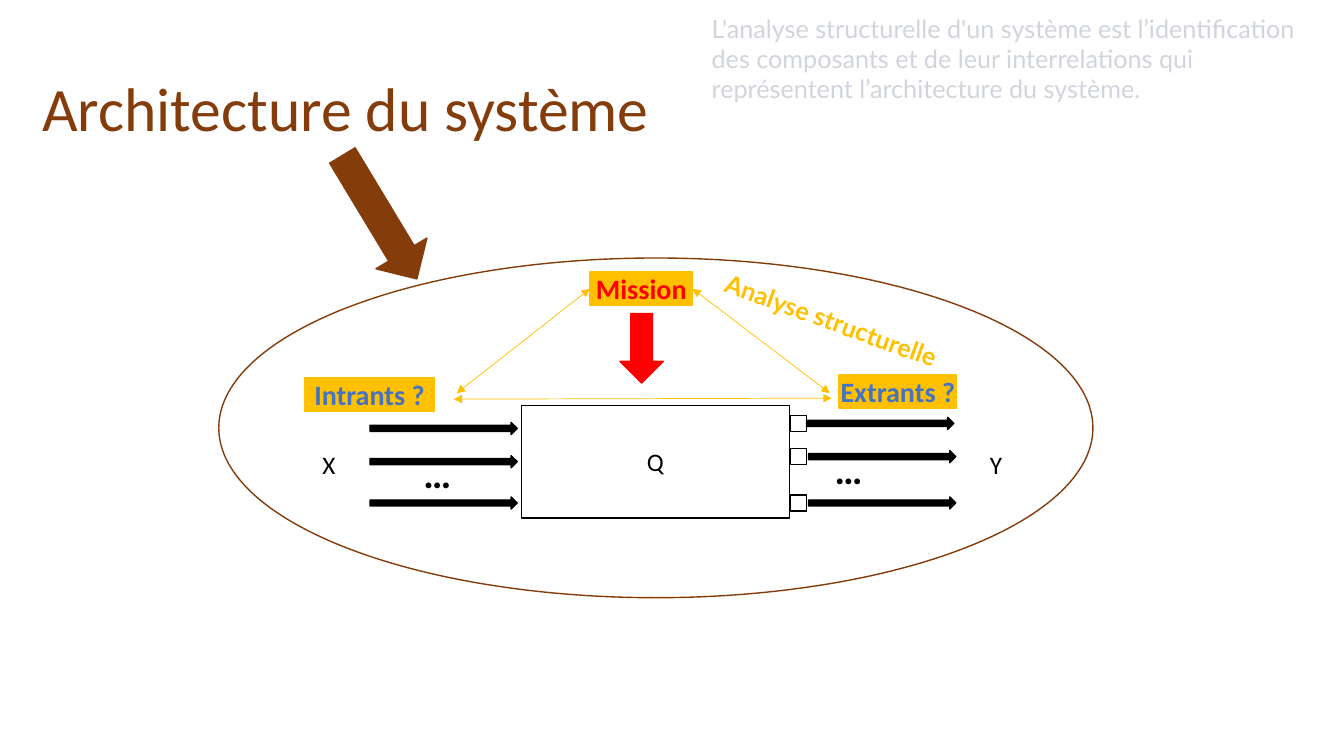
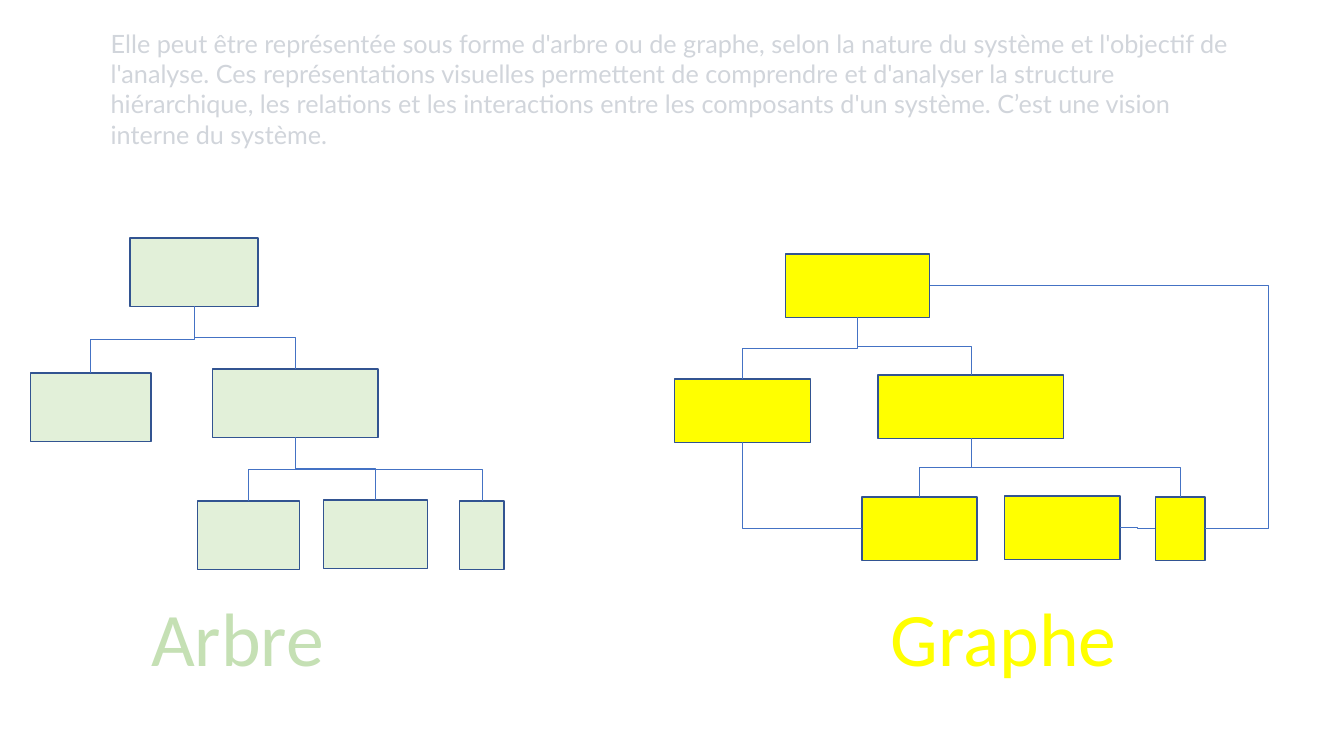
from lxml import etree
from pptx import Presentation
from pptx.dml.color import RGBColor
from pptx.enum import shapes, text
from pptx.oxml import ns
from pptx.util import Inches, Pt

WHITE = RGBColor(0xFF, 0xFF, 0xFF)
BLACK = RGBColor(0, 0, 0)
RED = RGBColor(0xFF, 0, 0)
BROWN = RGBColor(0x84, 0x3C, 0x0B)
AMBER = RGBColor(0xFF, 0xC0, 0x00)
BLUE = RGBColor(0x44, 0x72, 0xC4)
DARK_BLUE = RGBColor(0x32, 0x54, 0x91)
GRAY = RGBColor(0xD1, 0xD5, 0xDB)
PALE_GREEN = RGBColor(0xE2, 0xF0, 0xD9)
GREEN = RGBColor(0xC5, 0xE0, 0xB4)
YELLOW = RGBColor(0xFF, 0xFF, 0x00)

TOP, LEFT, BOTTOM, RIGHT = range(4)
PRESET = shapes.MSO_SHAPE

TITLE = "Architecture du système"
DEFINITION = (
    "L'analyse structurelle d'un système est l’identification des composants et de leur "
    "interrelations qui représentent l’architecture du système."
)
EXPLANATION = (
    "Elle peut être représentée sous forme d'arbre ou de graphe, selon la nature du système et "
    "l'objectif de l'analyse. Ces représentations visuelles permettent de comprendre et "
    "d'analyser la structure hiérarchique, les relations et les interactions entre les "
    "composants d'un système. C’est une vision interne du système."
)
BADGES = {
    "Intrants ?": ((3.02, 3.75, 1.29, 0.33), BLUE),
    "Extrants ?": ((8.32, 3.72, 1.17, 0.33), BLUE),
    "Mission": ((5.85, 2.7, 1.02, 0.33), RED),
}
VARIABLES = [("X", (3.1, 4.41, 0.33, 0.34)), ("Y", (9.72, 4.41, 0.33, 0.34))]
ELLIPSES = [(4.1, 4.41, 0.59, 0.57), (8.18, 4.37, 0.59, 0.57)]
INPUT_TOPS = [4.19, 4.52, 4.93]
OUTPUT_PORTS = [(4.12, 8.0, 4.14), (4.45, 8.02, 4.47), (4.91, 8.02, 4.93)]

SHARED_LINKS = [
    ("root", BOTTOM, "left", TOP),
    ("root", BOTTOM, "right", TOP),
    ("right", BOTTOM, "leaf 3", TOP),
    ("right", BOTTOM, "leaf 1", TOP),
]
DIAGRAMS = [
    {
        "caption": "Arbre",
        "caption_box": (1.39, 5.81, 1.93, 1.01),
        "caption_color": GREEN,
        "fill": PALE_GREEN,
        "height": 0.68,
        "nodes": {
            "left": (0.3, 3.7, 1.2),
            "right": (2.11, 3.66, 1.64),
            "root": (1.29, 2.36, 1.27),
            "leaf 1": (1.96, 4.97, 1.01),
            "leaf 2": (3.21, 4.96, 1.03),
            "leaf 3": (4.56, 4.97, 0.44),
        },
        "links": [("right", BOTTOM, "leaf 2", TOP)],
    },
    {
        "caption": "Graphe",
        "caption_box": (8.72, 5.81, 2.47, 1.01),
        "caption_color": YELLOW,
        "fill": YELLOW,
        "height": 0.63,
        "nodes": {
            "left": (6.69, 3.76, 1.35),
            "right": (8.71, 3.72, 1.84),
            "root": (7.79, 2.52, 1.43),
            "leaf 1": (8.55, 4.93, 1.14),
            "leaf 2": (9.96, 4.92, 1.15),
            "leaf 3": (11.46, 4.93, 0.49),
        },
        "links": [
            ("leaf 1", LEFT, "left", BOTTOM),
            ("leaf 3", RIGHT, "root", RIGHT),
            ("leaf 2", RIGHT, "leaf 3", LEFT),
        ],
    },
]


def inches(box):
    return [Inches(value) for value in box]


def write(frame, words, size=18, color=BLACK, font="Calibri", bold=False, align=text.PP_ALIGN.LEFT):
    paragraph = frame.paragraphs[0]
    paragraph.alignment = align
    run = paragraph.add_run()
    run.text = words
    run.font.size = Pt(size)
    run.font.name = font
    run.font.bold = bold
    run.font.color.rgb = color


def add_text(slide, words, box, wrap=False, rotation=0, **style):
    shape = slide.shapes.add_textbox(*inches(box))
    shape.rotation = rotation
    shape.text_frame.word_wrap = wrap
    shape.text_frame.auto_size = text.MSO_AUTO_SIZE.SHAPE_TO_FIT_TEXT
    write(shape.text_frame, words, **style)


def add_shape(slide, preset, box, line, fill=None, words=None, **style):
    shape = slide.shapes.add_shape(preset, *inches(box))
    shape.shadow.inherit = False
    shape.line.color.rgb = line
    shape.line.width = Pt(1)
    if fill is None:
        shape.fill.background()
    else:
        shape.fill.solid()
        shape.fill.fore_color.rgb = fill
    if words:
        frame = shape.text_frame
        frame.margin_left = frame.margin_right = frame.margin_top = frame.margin_bottom = 0
        frame.word_wrap = False
        frame.vertical_anchor = text.MSO_ANCHOR.MIDDLE
        write(frame, words, align=text.PP_ALIGN.CENTER, **style)
    return shape


def add_line(slide, kind, color, start=(0, 0), end=(0, 0), arrows=False):
    connector = slide.shapes.add_connector(kind, *inches(start), *inches(end))
    connector.line.color.rgb = color
    connector.line.width = Pt(0.5)
    properties = connector._element.spPr
    if arrows:
        outline = properties.find(ns.qn("a:ln"))
        for tag in ("a:headEnd", "a:tailEnd"):
            etree.SubElement(outline, ns.qn(tag), type="triangle")
    etree.SubElement(properties, ns.qn("a:effectLst"))
    return connector


def turn_vertical(connector):
    x1, y1, x2, y2 = connector.begin_x, connector.begin_y, connector.end_x, connector.end_y
    rightward = x2 > x1
    connector.width, connector.height = y2 - y1, abs(x2 - x1)
    connector.left = (x1 + x2 - connector.width) // 2
    connector.top = (y1 + y2 - connector.height) // 2
    transform = connector._element.spPr.find(ns.qn("a:xfrm"))
    transform.set("rot", str((270 if rightward else 90) * 60000))
    transform.set("flipH", "1" if rightward else "0")


def link(slide, start, start_side, end, end_side):
    connector = add_line(slide, shapes.MSO_CONNECTOR.ELBOW, BLUE)
    connector.begin_connect(start, start_side)
    connector.end_connect(end, end_side)
    geometry = connector._element.spPr.find(ns.qn("a:prstGeom"))
    if (start_side, end_side) == (BOTTOM, TOP):
        turn_vertical(connector)
    elif (start_side, end_side) == (LEFT, BOTTOM):
        geometry.set("prst", "bentConnector2")
    elif start_side == end_side == RIGHT:
        adjustments = geometry.find(ns.qn("a:avLst"))
        etree.SubElement(adjustments, ns.qn("a:gd"), name="adj1", fmla="val -23100")


def build_architecture(slide):
    badges = {
        words: add_shape(slide, PRESET.RECTANGLE, box, AMBER, AMBER, words,
                         size=20, color=color, bold=True)
        for words, (box, color) in BADGES.items()
    }
    add_shape(slide, PRESET.OVAL, (2.17, 2.56, 8.67, 3.37), BROWN)
    add_shape(slide, PRESET.RECTANGLE, (5.17, 4.02, 2.66, 1.12), BLACK, words="Q")
    flows = [(3.67, top) for top in INPUT_TOPS]
    for port_top, arrow_left, arrow_top in OUTPUT_PORTS:
        add_shape(slide, PRESET.RECTANGLE, (7.84, port_top, 0.16, 0.16), BLACK)
        flows.append((arrow_left, arrow_top))
    for left, top in flows:
        add_shape(slide, PRESET.RIGHT_ARROW, (left, top, 1.46, 0.12), BLACK, BLACK)
    for box in ELLIPSES:
        add_text(slide, "…", box, size=28, bold=True)
    for words, box in VARIABLES:
        add_text(slide, words, box)

    add_shape(slide, PRESET.DOWN_ARROW, (6.15, 3.11, 0.43, 0.69), RED, RED)
    pointer = add_shape(slide, PRESET.RIGHT_ARROW, (3.05, 1.86, 1.43, 0.59), BROWN, BROWN)
    pointer.rotation = 58.9
    add_text(slide, TITLE, (0.29, 0.64, 6.28, 0.84), size=44, color=BROWN,
             align=text.PP_ALIGN.CENTER)
    add_text(slide, DEFINITION, (6.96, 0.08, 6.17, 1.01), wrap=True, color=GRAY, font="Lato")

    straight = shapes.MSO_CONNECTOR.STRAIGHT
    for side, start, end in [(RIGHT, (6.88, 2.87), (8.23, 3.9)), (LEFT, (5.83, 2.87), (4.53, 3.9))]:
        connector = add_line(slide, straight, AMBER, start, end, arrows=True)
        connector.begin_connect(badges["Mission"], side)
    add_line(slide, straight, AMBER, (4.5, 3.96), (8.25, 3.95), arrows=True)
    add_text(slide, "Analyse structurelle", (7.04, 2.98, 2.41, 0.4), wrap=True, rotation=20,
             color=AMBER, font="Lato", bold=True)


def build_representations(slide):
    for diagram in DIAGRAMS:
        nodes = {
            name: add_shape(slide, PRESET.RECTANGLE, (*place, diagram["height"]),
                            DARK_BLUE, diagram["fill"])
            for name, place in diagram["nodes"].items()
        }
        for start, start_side, end, end_side in SHARED_LINKS + diagram["links"]:
            link(slide, nodes[start], start_side, nodes[end], end_side)
        add_text(slide, diagram["caption"], diagram["caption_box"], size=54,
                 color=diagram["caption_color"], align=text.PP_ALIGN.CENTER)
    add_text(slide, EXPLANATION, (1, 0.23, 11.33, 1.01), wrap=True, color=GRAY, font="Lato")


def main():
    presentation = Presentation()
    presentation.slide_width = Inches(13.33)
    presentation.slide_height = Inches(7.5)
    for build in (build_architecture, build_representations):
        slide = presentation.slides.add_slide(presentation.slide_layouts[6])
        slide.background.fill.solid()
        slide.background.fill.fore_color.rgb = WHITE
        build(slide)
    presentation.save("out.pptx")


if __name__ == "__main__":
    main()
